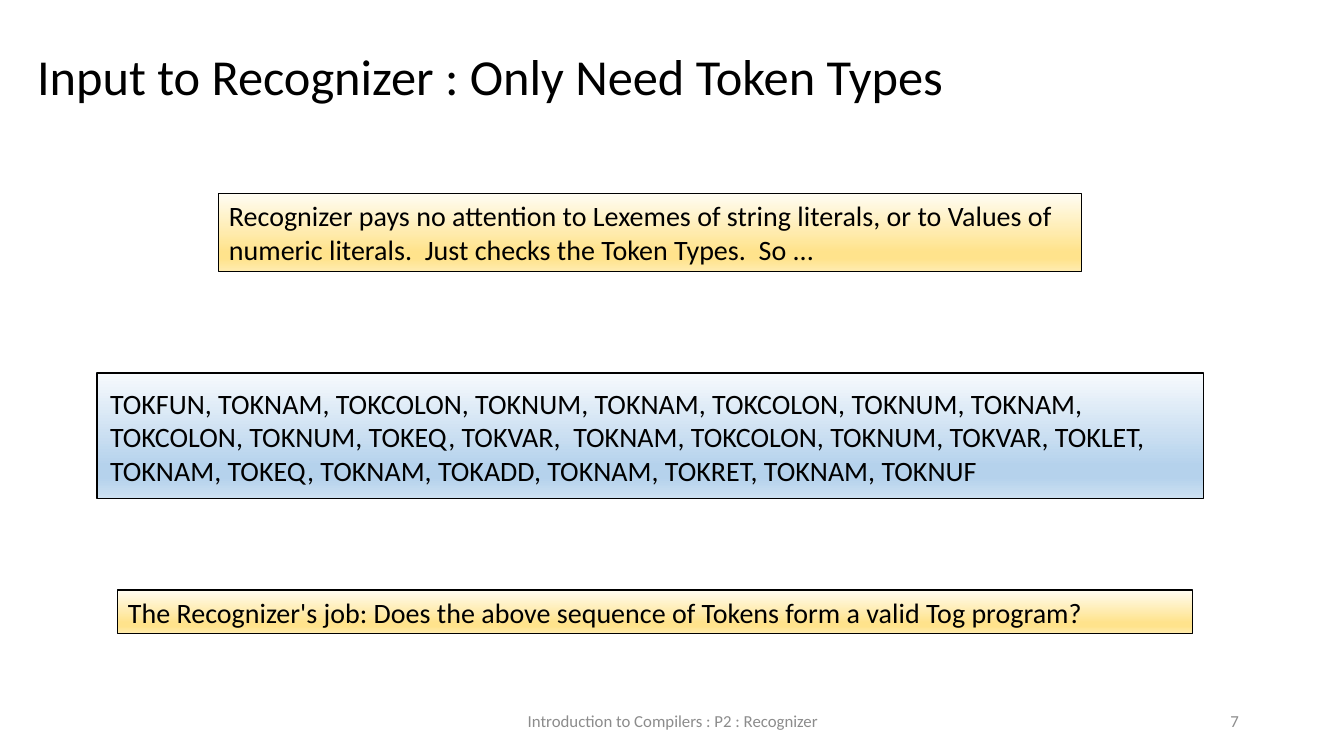
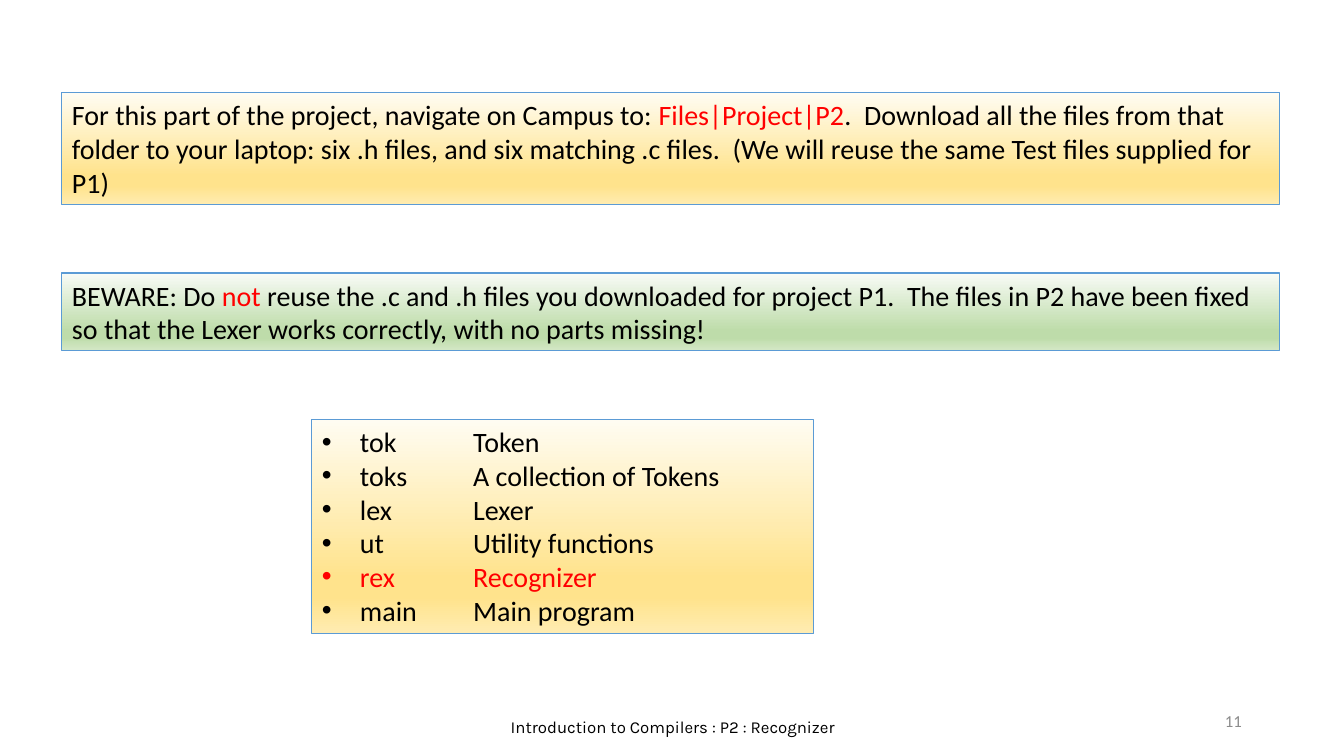
"""Build two slides on the input and the files of a compiler's recognizer."""
import pptx
import pptx.dml.color
import pptx.enum.shapes
import pptx.enum.text
import pptx.oxml.ns
import pptx.util
from lxml import etree

RGBColor = pptx.dml.color.RGBColor
ALIGN = pptx.enum.text.PP_ALIGN
ANCHOR = pptx.enum.text.MSO_ANCHOR
qn = pptx.oxml.ns.qn

BLACK = RGBColor(0x00, 0x00, 0x00)
RED = RGBColor(0xFF, 0x00, 0x00)
GREY = RGBColor(0x8C, 0x8C, 0x8C)
BLUE = RGBColor(0x5B, 0x9B, 0xD5)
STOPS = (0, 74, 83, 100)
YELLOW_FADE = [RGBColor.from_string(c) for c in ("FFFCF2", "FFE38C", "FFE38C", "FFECB2")]
BLUE_FADE = [RGBColor.from_string(c) for c in ("F7FAFD", "B5D2EC", "B5D2EC", "CEE1F2")]
GREEN_FADE = [RGBColor.from_string(c) for c in ("F8FBF6", "BEDCAA", "BEDCAA", "D4E8C6")]
FOOTER = "Introduction to Compilers : P2 : Recognizer"


def px(pixels):
    """Turn picture pixels into EMU."""
    return pptx.util.Emu(round(pixels * 914400 / 100.8))


def add_text(slide, at, paragraphs, size=20, color=BLACK, font="Calibri", align=ALIGN.LEFT,
             anchor=ANCHOR.TOP, inset=(10, 5), fade=None, line=BLACK, bullet=False, grow=False):
    """Add a text box, or a panel if fade is given; a paragraph is a string or (text, colour) runs."""
    place = [px(length) for length in at]
    if fade:
        shape = slide.shapes.add_shape(pptx.enum.shapes.MSO_SHAPE.RECTANGLE, *place)
        shape.shadow.inherit = False
        shape.line.color.rgb = line
        shape.line.width = pptx.util.Pt(0.75)
        shape.fill.gradient()
        shape.fill.gradient_angle = 270
        stops = shape._element.spPr.find(".//" + qn("a:gsLst"))
        for old_stop in list(stops):
            stops.remove(old_stop)
        for percent, shade in zip(STOPS, fade):
            stop = etree.SubElement(stops, qn("a:gs"), pos=str(percent * 1000))
            etree.SubElement(stop, qn("a:srgbClr"), val=str(shade))
    else:
        shape = slide.shapes.add_textbox(*place)
    frame = shape.text_frame
    frame.word_wrap = True
    if grow:
        frame.auto_size = pptx.enum.text.MSO_AUTO_SIZE.SHAPE_TO_FIT_TEXT
    frame.vertical_anchor = anchor
    frame.margin_left = frame.margin_right = px(inset[0])
    frame.margin_top = frame.margin_bottom = px(inset[1])
    for index, content in enumerate(paragraphs):
        paragraph = frame.add_paragraph() if index else frame.paragraphs[0]
        paragraph.alignment = align
        if bullet:
            properties = paragraph._p.get_or_add_pPr()
            properties.set("marL", str(px(38)))
            properties.set("indent", str(-px(38)))
            etree.SubElement(properties, qn("a:buFont"), typeface="Arial")
            etree.SubElement(properties, qn("a:buChar"), char="•")
        runs = [(content, color)] if isinstance(content, str) else content
        for words, run_color in runs:
            run = paragraph.add_run()
            run.text = words
            run.font.name = font
            run.font.size = pptx.util.Pt(size)
            run.font.color.rgb = run_color


deck = pptx.Presentation()
deck.slide_width, deck.slide_height = px(1344), px(756)
token_slide, files_slide = [deck.slides.add_slide(deck.slide_layouts[6]) for _ in range(2)]

for slide, number, number_inset, footer_top, footer_style in (
    (token_slide, "7", (13, 7), 701, {"color": GREY}),
    (files_slide, "11", (10, 5), 707, {"font": "Karla"}),
):
    add_text(slide, (446, footer_top, 454, 40), [FOOTER], size=12, align=ALIGN.CENTER,
             anchor=ANCHOR.MIDDLE, **footer_style)
    add_text(slide, (950, 701, 302, 40), [number], size=12, color=GREY, align=ALIGN.RIGHT,
             anchor=ANCHOR.MIDDLE, inset=number_inset)

add_text(token_slide, (24, 32, 1141, 86), ["Input to Recognizer : Only Need Token Types "],
         size=36, inset=(13, 13))
add_text(token_slide, (219, 194, 863, 78),
         ["Recognizer pays no attention to Lexemes of string literals, or to Values of  "
          "numeric literals.  Just checks the Token Types.  So ..."],
         fade=YELLOW_FADE, grow=True)
add_text(token_slide, (97, 373, 1107, 126),
         ["TOKFUN, TOKNAM, TOKCOLON, TOKNUM, TOKNAM, TOKCOLON, TOKNUM, TOKNAM, TOKCOLON, "
          "TOKNUM, TOKEQ, TOKVAR,  TOKNAM, TOKCOLON, TOKNUM, TOKVAR, TOKLET, TOKNAM, TOKEQ, "
          "TOKNAM, TOKADD, TOKNAM, TOKRET, TOKNAM, TOKNUF"],
         fade=BLUE_FADE, inset=(13, 13))
add_text(token_slide, (118, 590, 1075, 44),
         ["The Recognizer's job: Does the above sequence of Tokens form a valid Tog program?"],
         fade=YELLOW_FADE, grow=True)

download = [
    ("For this part of the project, navigate on Campus to: ", BLACK),
    ("Files|Project|P2", RED),
    (".  Download all the files from that folder to your laptop: six .h files, and six "
     "matching .c files.  (We will reuse the same Test files supplied for P1)", BLACK),
]
beware = [
    ("BEWARE: Do ", BLACK),
    ("not", RED),
    (" reuse the .c and .h files you downloaded for project P1.  The files in P2 have been "
     "fixed so that the Lexer works correctly, with no parts missing!", BLACK),
]
modules_list = [
    ("tok", "Token"),
    ("toks", "A collection of Tokens"),
    ("lex", "Lexer"),
    ("ut", "Utility functions"),
    ("rex", "Recognizer"),
    ("main", "Main program"),
]
file_rows = [[(f"{stem}\t\t{meaning}", RED if stem == "rex" else BLACK)]
             for stem, meaning in modules_list]
add_text(files_slide, (62, 93, 1218, 112), [download], fade=YELLOW_FADE, line=BLUE, grow=True)
add_text(files_slide, (62, 273, 1218, 78), [beware], fade=GREEN_FADE, line=BLUE, grow=True)
add_text(files_slide, (312, 420, 502, 214), file_rows, fade=YELLOW_FADE, line=BLUE,
         bullet=True, grow=True)

deck.save("out.pptx")
